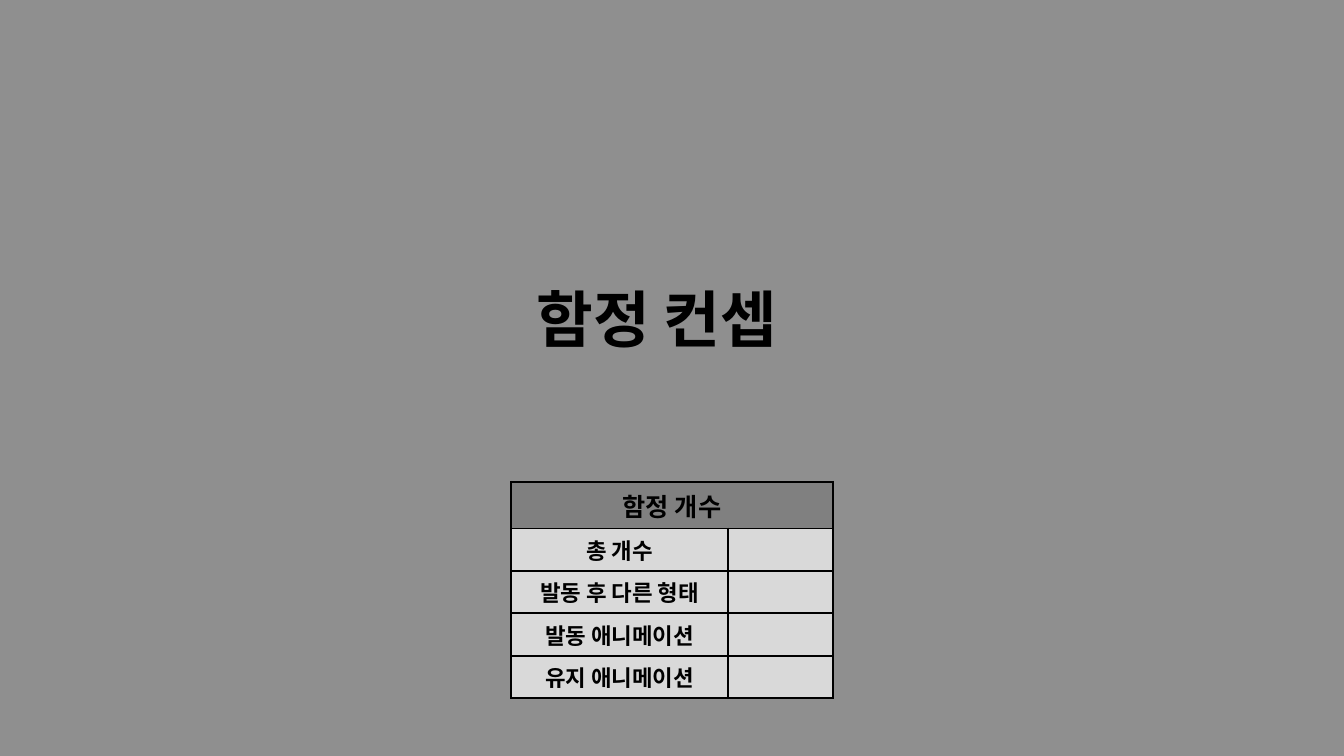
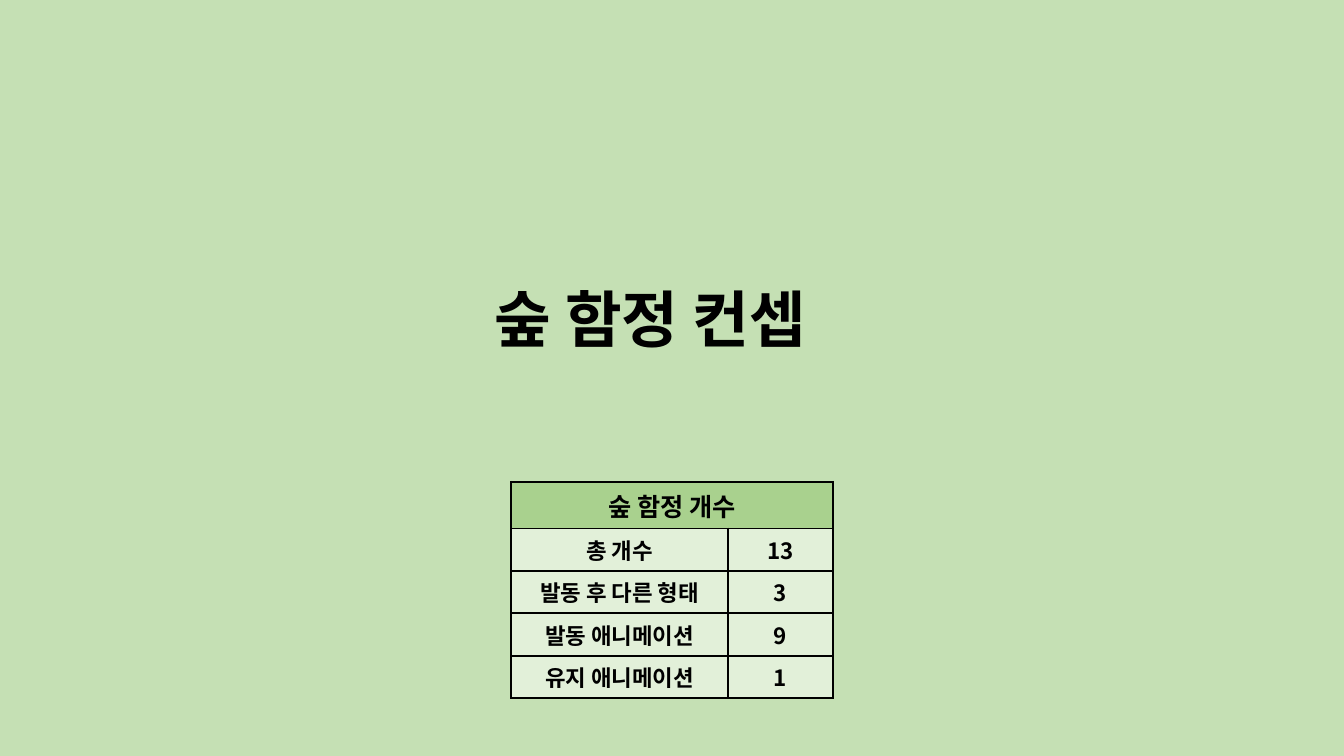
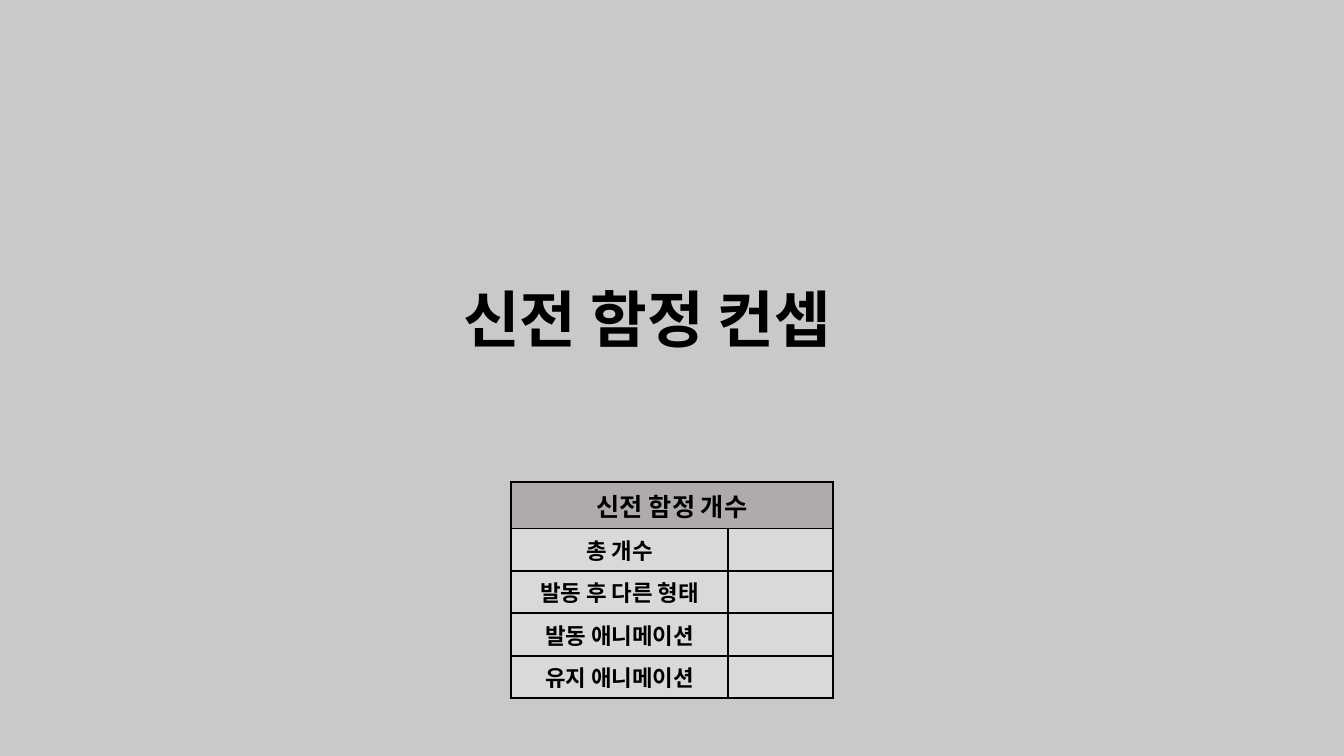
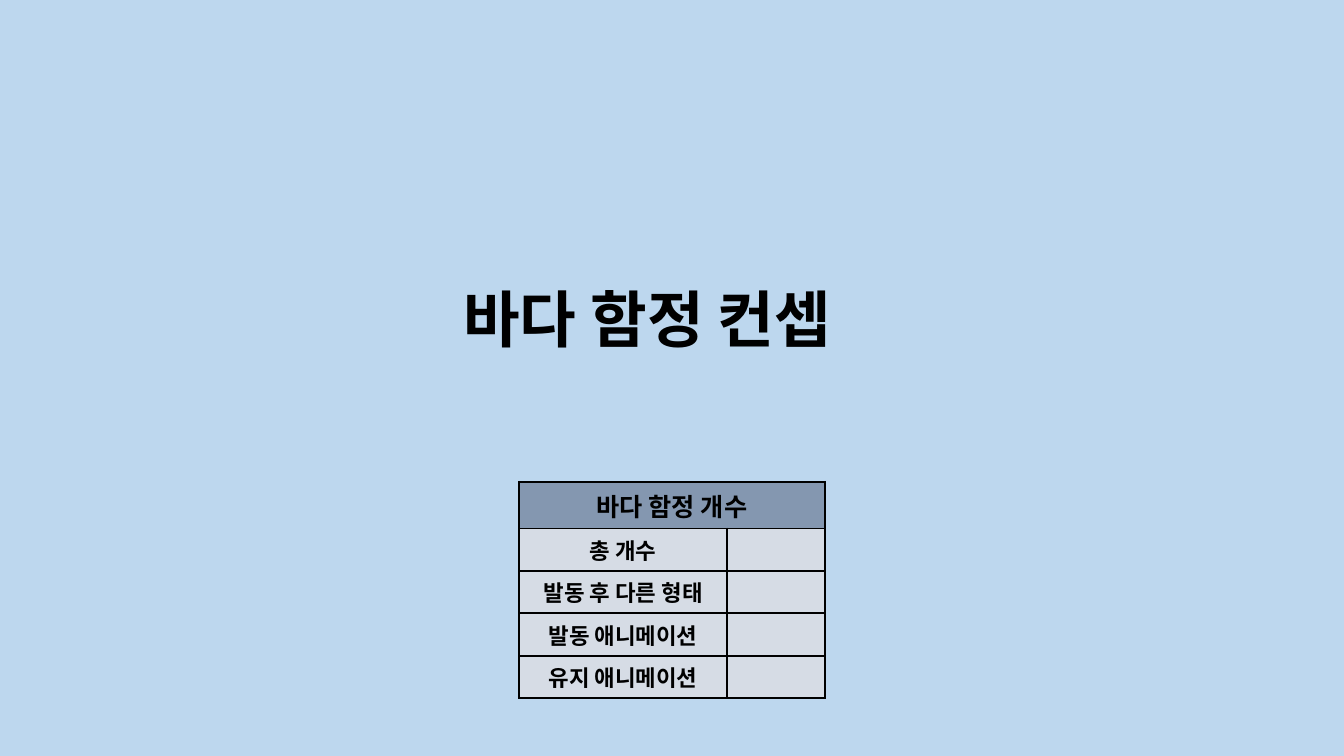
"""Build four title slides, each with a table of trap counts."""
from dataclasses import dataclass
from typing import Any

from lxml.etree import SubElement
from pptx import Presentation
from pptx.dml.color import RGBColor
from pptx.enum.text import MSO_ANCHOR, MSO_AUTO_SIZE, PP_ALIGN
from pptx.oxml.ns import qn
from pptx.slide import Slide
from pptx.table import _Cell
from pptx.util import Pt

FONT = "Noto Sans CJK KR"
BLACK = RGBColor(0x00, 0x00, 0x00)
GRAY = RGBColor(0x8F, 0x8F, 0x8F)
DARK_GRAY = RGBColor(0x80, 0x80, 0x80)
PALE_GRAY = RGBColor(0xD9, 0xD9, 0xD9)
GREEN = RGBColor(0xC5, 0xE0, 0xB4)
DARK_GREEN = RGBColor(0xA9, 0xD1, 0x8E)
PALE_GREEN = RGBColor(0xE2, 0xF0, 0xD9)
STONE = RGBColor(0xC9, 0xC9, 0xC9)
DARK_STONE = RGBColor(0xAF, 0xAB, 0xAB)
BLUE = RGBColor(0xBD, 0xD7, 0xEE)
DARK_BLUE = RGBColor(0x84, 0x97, 0xB0)
PALE_BLUE = RGBColor(0xD6, 0xDC, 0xE5)

SLIDE_WIDTH, SLIDE_HEIGHT = 960, 540
TITLE_TOP, TITLE_HEIGHT, TITLE_SIZE = 196.6, 60.5, 44
TABLE_TOP, ROW_HEIGHT = 344.2, 29.3
HEADER_SIZE, BODY_SIZE = 18, 16
BORDER_WIDTH = 1.5
LABELS = ("총 개수", "발동 후 다른 형태", "발동 애니메이션", "유지 애니메이션")
NO_COUNTS = ("",) * len(LABELS)


@dataclass(frozen=True)
class TrapSlide:
    """Describe what differs from one slide to the next."""

    subject: str
    title_width: float
    background: RGBColor
    header_fill: RGBColor
    body_fill: RGBColor
    counts: tuple[str, ...] = NO_COUNTS
    column_widths: tuple[float, float] = (154.8, 74.9)
    header_height: float = 30.2


TRAP_SLIDES = (
    TrapSlide("함정", 208, GRAY, DARK_GRAY, PALE_GRAY, header_height=31),
    TrapSlide("숲 함정", 267.8, GREEN, DARK_GREEN, PALE_GREEN, ("13", "3", "9", "1")),
    TrapSlide("신전 함정", 312.5, STONE, DARK_STONE, PALE_GRAY),
    TrapSlide("바다 함정", 312.5, BLUE, DARK_BLUE, PALE_BLUE, column_widths=(148.3, 69.8)),
)


def apply_format(target: Any, values: dict[str, Any]) -> None:
    """Set every named attribute on the target."""
    for name, value in values.items():
        setattr(target, name, value)


def write_text(paragraph: Any, text: str, size: float, alignment: PP_ALIGN) -> None:
    """Write one bold black run, or size the paragraph when there is no text."""
    paragraph.alignment = alignment
    if not text:
        SubElement(paragraph._p, qn("a:endParaRPr"), sz=str(size * 100))
        return
    run = paragraph.add_run()
    run.text = text
    apply_format(run.font, {"name": FONT, "size": Pt(size), "bold": True})
    run.font.color.rgb = BLACK
    SubElement(run.font._element, qn("a:ea"), typeface=FONT)


def draw_title(slide: Slide, trap: TrapSlide) -> None:
    """Place and format the title placeholder."""
    title = slide.shapes.title
    apply_format(title, {
        "left": Pt((SLIDE_WIDTH - trap.title_width) / 2),
        "top": Pt(TITLE_TOP),
        "width": Pt(trap.title_width),
        "height": Pt(TITLE_HEIGHT),
    })
    apply_format(title.text_frame, {
        "word_wrap": True,
        "auto_size": MSO_AUTO_SIZE.NONE,
        "vertical_anchor": MSO_ANCHOR.MIDDLE,
    })
    write_text(title.text_frame.paragraphs[0], f"{trap.subject} 컨셉", TITLE_SIZE, PP_ALIGN.LEFT)


def format_cell(cell: _Cell, text: str, size: float, fill: RGBColor) -> None:
    """Give a cell its borders, fill and centred text."""
    properties = cell._tc.get_or_add_tcPr()
    for side in ("a:lnL", "a:lnR", "a:lnT", "a:lnB"):
        line = SubElement(properties, qn(side), w=str(Pt(BORDER_WIDTH)))
        solid_fill = SubElement(line, qn("a:solidFill"))
        SubElement(solid_fill, qn("a:srgbClr"), val=str(BLACK))
    cell.fill.solid()
    cell.fill.fore_color.rgb = fill
    write_text(cell.text_frame.paragraphs[0], text, size, PP_ALIGN.CENTER)


def draw_table(slide: Slide, trap: TrapSlide) -> None:
    """Draw the centred table of counts."""
    rows = [(f"{trap.subject} 개수", ""), *zip(LABELS, trap.counts)]
    heights = [trap.header_height] + [ROW_HEIGHT] * len(LABELS)
    width = sum(trap.column_widths)
    table = slide.shapes.add_table(
        len(rows), len(trap.column_widths), Pt((SLIDE_WIDTH - width) / 2),
        Pt(TABLE_TOP), Pt(width), Pt(sum(heights)),
    ).table
    apply_format(table, {"first_row": False, "horz_banding": False})
    for column, column_width in zip(table.columns, trap.column_widths):
        column.width = Pt(column_width)
    for row_index, (texts, height) in enumerate(zip(rows, heights)):
        table.rows[row_index].height = Pt(height)
        size, fill = (BODY_SIZE, trap.body_fill) if row_index else (HEADER_SIZE, trap.header_fill)
        for column_index, text in enumerate(texts):
            format_cell(table.cell(row_index, column_index), text, size, fill)
    table.cell(0, 0).merge(table.cell(0, 1))


def main() -> None:
    """Build and save the presentation."""
    presentation = Presentation()
    apply_format(presentation, {"slide_width": Pt(SLIDE_WIDTH), "slide_height": Pt(SLIDE_HEIGHT)})
    title_only = presentation.slide_layouts.get_by_name("Title Only")
    for trap in TRAP_SLIDES:
        slide = presentation.slides.add_slide(title_only)
        slide.background.fill.solid()
        slide.background.fill.fore_color.rgb = trap.background
        draw_title(slide, trap)
        draw_table(slide, trap)
    presentation.save("out.pptx")


if __name__ == "__main__":
    main()
